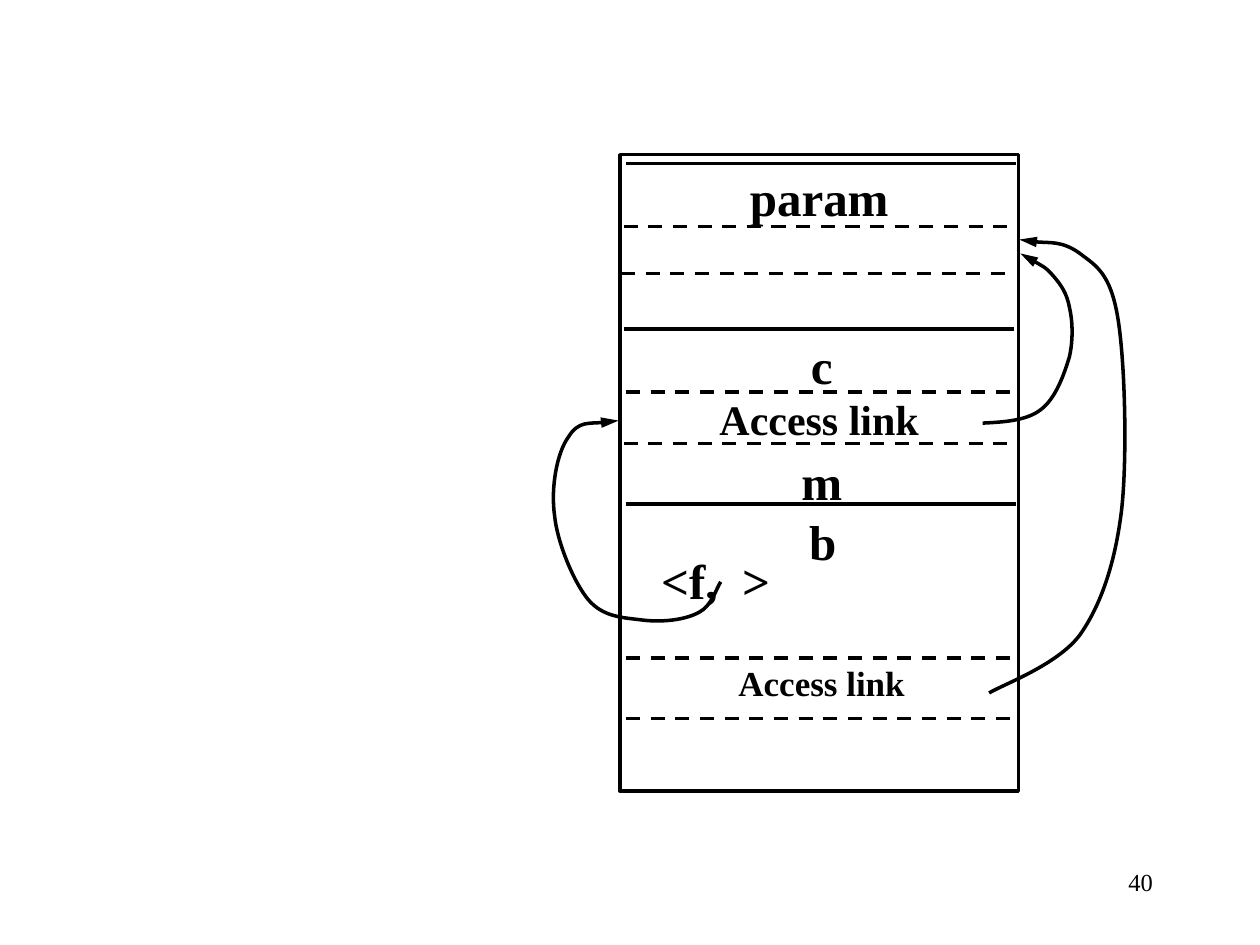
from lxml.etree import SubElement as Sub
from pptx import Presentation
from pptx.dml.color import RGBColor
from pptx.enum.dml import MSO_LINE
from pptx.enum.shapes import MSO_CONNECTOR as Link, MSO_SHAPE as Kind
from pptx.enum.text import PP_ALIGN as Align
from pptx.oxml.ns import qn
from pptx.util import Cm, Pt

BLACK = RGBColor(0, 0, 0)
FONT = "Times New Roman"
RULE_W = 7.87
LABEL_W, LABEL_H = 7.47, 1.3

RULES = [
    (12.62, 3.3, False),
    (12.57, 4.57, True),
    (12.52, 5.51, True),
    (12.57, 6.63, False),
    (12.62, 7.9, True),
    (12.57, 8.94, True),
    (12.62, 10.16, False),
    (12.62, 13.26, True),
    (12.62, 14.48, True),
]
LABELS = [
    ("param", 12.78, 3.25, 28),
    ("c", 12.83, 6.63, 28),
    ("Access link", 12.78, 7.8, 24),
    ("m", 12.83, 8.97, 28),
    ("b", 12.85, 10.19, 28),
    ("Access link", 12.83, 13.21, 20),
]
OUTER = [
    (19.94, 13.97),
    (20.24, 13.79), (21.31, 13.41), (21.77, 12.8),
    (22.2, 12.19), (22.48, 11.35), (22.61, 10.29),
    (22.73, 9.22), (22.68, 7.24), (22.53, 6.38),
    (22.38, 5.51), (22.1, 5.36), (21.77, 5.11),
    (21.41, 4.85), (20.73, 4.9), (20.55, 4.83),
]
INNER = [
    (19.81, 8.53),
    (20.24, 8.51), (20.7, 8.48), (20.98, 8.26),
    (21.29, 8.03), (21.46, 7.52), (21.56, 7.19),
    (21.64, 6.83), (21.62, 6.45), (21.56, 6.2),
    (21.51, 5.92), (21.39, 5.74), (21.23, 5.56),
    (21.08, 5.38), (20.7, 5.18), (20.57, 5.11),
]
LEFT = [
    (14.53, 11.73),
    (14.45, 11.84), (14.35, 12.21), (14.1, 12.34),
    (13.82, 12.5), (13.34, 12.55), (12.95, 12.5),
    (12.57, 12.45), (12.17, 12.45), (11.86, 12.09),
    (11.56, 11.73), (11.23, 10.92), (11.18, 10.39),
    (11.1, 9.83), (11.23, 9.12), (11.46, 8.81),
    (11.66, 8.48), (12.29, 8.53), (12.47, 8.48),
]


def ink(line):
    line.color.rgb = BLACK
    line.width = Pt(2)


def add_frame(shapes, x, y, w, h):
    frame = shapes.add_shape(Kind.RECTANGLE, Cm(x), Cm(y), Cm(w), Cm(h))
    frame.shadow.inherit = False
    frame.fill.background()
    ink(frame.line)


def add_rule(shapes, x, y, dashed):
    rule = shapes.add_connector(Link.STRAIGHT, Cm(x), Cm(y), Cm(x + RULE_W), Cm(y))
    ink(rule.line)
    if dashed:
        rule.line.dash_style = MSO_LINE.DASH
    Sub(rule._element.spPr, qn("a:effectLst"))


def add_text(shapes, text, x, y, size, align=Align.CENTER, w=LABEL_W, bold=True, tab=None):
    box = shapes.add_textbox(Cm(x), Cm(y), Cm(w), Cm(LABEL_H))
    box.text_frame.word_wrap = True
    para = box.text_frame.paragraphs[0]
    para.text = text
    para.alignment = align
    if tab:
        stops = Sub(para._p.get_or_add_pPr(), qn("a:tabLst"))
        Sub(stops, qn("a:tab"), pos=str(Cm(tab)), algn="l")
    font = para.font
    font.name, font.size, font.bold = FONT, Pt(size), bold
    font.color.rgb = BLACK


def add_curve(shapes, points):
    spots = [(Cm(x), Cm(y)) for x, y in points]
    pen = shapes.build_freeform(*spots[0])
    pen.add_line_segments(spots[1:], close=False)
    curve = pen.convert_to_shape()
    curve.shadow.inherit = False
    curve.fill.background()
    ink(curve.line)
    props = curve._element.spPr
    Sub(props.find(qn("a:ln")), qn("a:tailEnd"), type="triangle", w="med", len="lg")
    route = props.find(".//" + qn("a:path"))
    steps = route.findall(qn("a:lnTo"))
    for i in range(0, len(steps), 3):
        bend = Sub(route, qn("a:cubicBezTo"))
        for step in steps[i:i + 3]:
            bend.append(step[0])
            route.remove(step)


def main():
    deck = Presentation()
    deck.slide_width, deck.slide_height = Cm(25.4), Cm(19.05)
    shapes = deck.slides.add_slide(deck.slide_layouts[6]).shapes
    add_frame(shapes, 12.5, 3.12, 8.03, 12.83)
    for rule in RULES:
        add_rule(shapes, *rule)
    for label in LABELS:
        add_text(shapes, *label)
    add_text(shapes, "<f,\t>", 13.08, 10.97, 28, Align.LEFT, tab=1.63)
    for points in (OUTER, INNER, LEFT):
        add_curve(shapes, points)
    add_text(shapes, "40", 18.21, 17.35, 14, Align.RIGHT, 5.28, False)
    deck.save("out.pptx")


if __name__ == "__main__":
    main()
